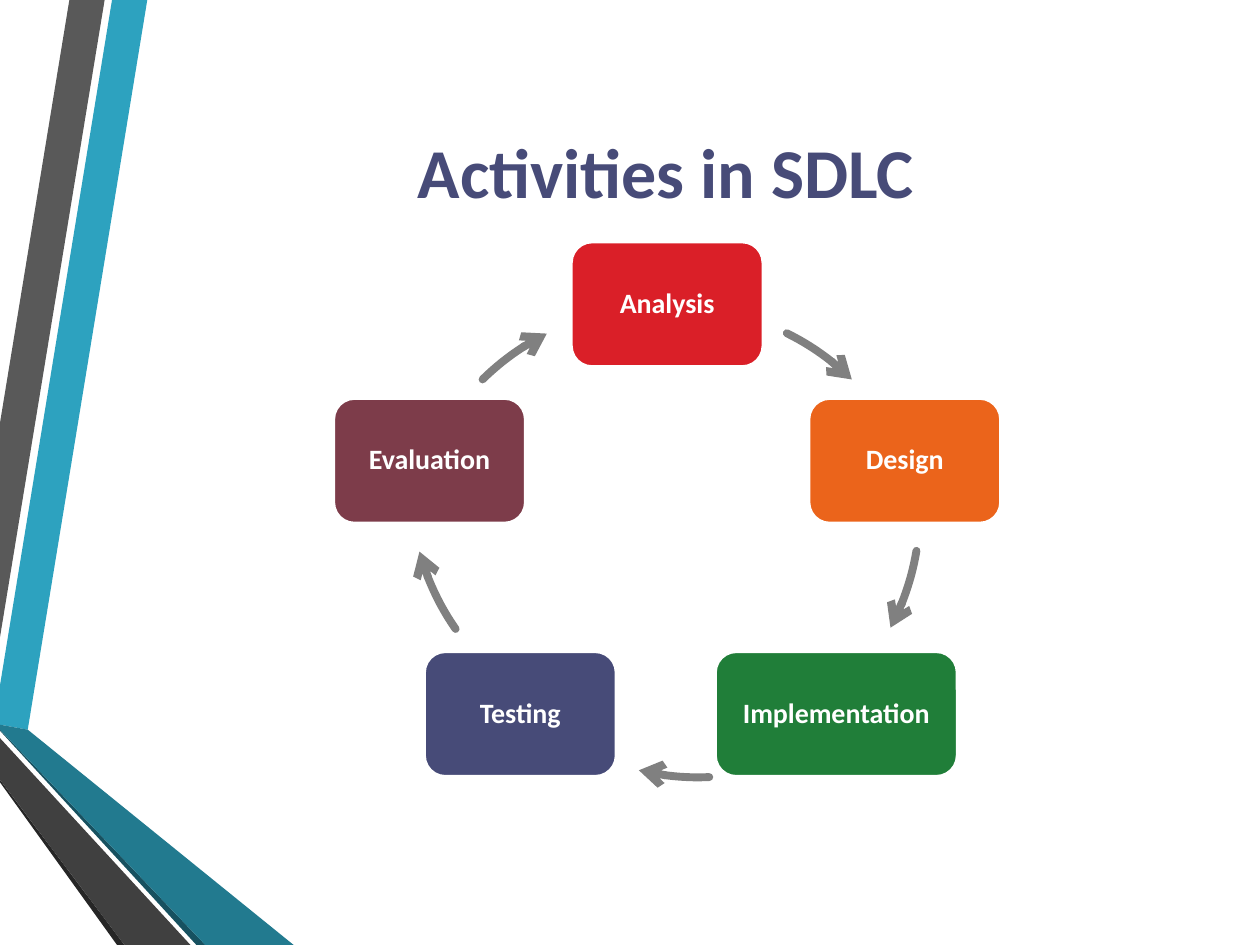
from math import cos, radians, sin

from lxml.etree import SubElement
from pptx import Presentation
from pptx.dml.color import RGBColor
from pptx.enum.shapes import MSO_SHAPE
from pptx.enum.text import MSO_ANCHOR, PP_ALIGN
from pptx.oxml.ns import qn
from pptx.util import Cm, Pt

COLORS = {
    "white": "FFFFFF", "red": "DA1F28", "orange": "EB641B", "green": "207E39",
    "indigo": "474B78", "plum": "7D3C4A", "arrow": "808080",
    "cyan": "2DA2BF", "teal": "227A8F", "deep_teal": "175160",
    "gray": "595959", "dark_gray": "404040", "charcoal": "262626",
}
FONT = "Calibri"

# Corner points in cm, relative to the decoration's box
RIBBONS = [
    ("cyan", [(0, 13.82), (0, 14.61), (0.56, 14.71), (2.97, 0), (2.26, 0)]),
    ("gray", [(2.11, 0), (1.4, 0), (0, 8.53), (0, 12.85)]),
    ("charcoal", [(0, 15.72), (0, 15.77), (2.36, 19.05), (2.51, 19.05)]),
    ("deep_teal", [(0, 14.71), (0, 14.73), (3.96, 19.05), (4.14, 19.05)]),
    ("teal", [(0, 14.71), (4.14, 19.05), (5.92, 19.05), (0.56, 14.71), (0, 14.61)]),
    ("dark_gray", [(0, 15.72), (2.51, 19.05), (3.84, 19.05), (0, 14.88)]),
]

# Label, colour, extra width in cm, sideways shift in cm; clockwise from the top
ACTIVITIES = [
    ("Analysis", "red", 0, 0),
    ("Design", "orange", 0, 0),
    ("Implementation", "green", 1.01, 0.45),
    ("Testing", "indigo", 0, 0),
    ("Evaluation", "plum", 0, 0),
]
NODE_WIDTH, NODE_HEIGHT = 3.86, 2.51

# Arc centre relative to the ring centre in cm, then start and end angle
ARROWS = [
    (0.19, 0.53, -63.8, -45.4),
    (0.06, -0.41, 9.3, 28),
    (0.62, -0.06, 87.4, 103.7),
    (-0.14, -0.9, 145.1, 164.8),
    (-0.19, 0.53, 225.4, 243.6),
]
ARC_RADIUS = 5.03
ARC_STEPS = 12


def color(name):
    return RGBColor.from_string(COLORS[name])


def apply_format(target, values):
    for name, value in values.items():
        setattr(target, name, value)


def write_text(shape, text, size, color_name, inset):
    frame = shape.text_frame
    apply_format(frame, {
        "word_wrap": True, "vertical_anchor": MSO_ANCHOR.MIDDLE,
        "margin_left": inset, "margin_right": inset,
        "margin_top": inset, "margin_bottom": inset,
    })
    paragraph = frame.paragraphs[0]
    apply_format(paragraph, {"alignment": PP_ALIGN.CENTER, "line_spacing": 0.9})
    run = paragraph.add_run()
    run.text = text
    apply_format(run.font, {"name": FONT, "size": Pt(size), "bold": True})
    run.font.color.rgb = color(color_name)


def add_outline(slide, points, close):
    """Draw a freeform through points given in cm."""
    corners = [(Cm(x), Cm(y)) for x, y in points]
    builder = slide.shapes.build_freeform(*corners[0])
    builder.add_line_segments(corners[1:], close=close)
    shape = builder.convert_to_shape()
    shape.shadow.inherit = False
    return shape


def add_ribbons(slide, left, top):
    for color_name, corners in RIBBONS:
        points = [(left + x, top + y) for x, y in corners]
        ribbon = add_outline(slide, points, close=True)
        ribbon.fill.solid()
        ribbon.fill.fore_color.rgb = color(color_name)
        ribbon.line.fill.background()


def add_title(slide, left, top, width, height):
    box = slide.shapes.add_textbox(Cm(left), Cm(top), Cm(width), Cm(height))
    write_text(box, "Activities in SDLC", 40, "indigo", Cm(0.13))
    box.text_frame.paragraphs[0].line_spacing = 1.0


def add_node(slide, center_x, center_y, width, label, color_name):
    node = slide.shapes.add_shape(
        MSO_SHAPE.ROUNDED_RECTANGLE,
        Cm(center_x - width / 2), Cm(center_y - NODE_HEIGHT / 2),
        Cm(width), Cm(NODE_HEIGHT))
    node.shadow.inherit = False
    node.fill.solid()
    node.fill.fore_color.rgb = color(color_name)
    node.line.color.rgb = color("white")
    node.line.width = Pt(1.5)
    write_text(node, label, 16, "white", Cm(0.3))


def add_arc_arrow(slide, center_x, center_y, start, end):
    angles = [radians(start + (end - start) * step / ARC_STEPS)
              for step in range(ARC_STEPS + 1)]
    points = [(center_x + ARC_RADIUS * cos(angle), center_y + ARC_RADIUS * sin(angle))
              for angle in angles]
    arrow = add_outline(slide, points, close=False)
    arrow.fill.background()
    arrow.line.color.rgb = color("arrow")
    arrow.line.width = Pt(4.5)
    line = arrow.line._get_or_add_ln()
    line.set("cap", "rnd")
    SubElement(line, qn("a:round"))
    SubElement(line, qn("a:tailEnd"), type="arrow")


def add_cycle(slide, left, top, width, height):
    """Spread the activities over an ellipse that fills the box."""
    radius_x = (width - NODE_WIDTH) / 2 / cos(radians(18))
    radius_y = (height - NODE_HEIGHT) / (1 + cos(radians(36)))
    center_x = left + width / 2
    center_y = top + NODE_HEIGHT / 2 + radius_y
    for index, (label, color_name, extra, shift) in enumerate(ACTIVITIES):
        angle = radians(360 / len(ACTIVITIES) * index - 90)
        add_node(slide, center_x + radius_x * cos(angle) + shift,
                 center_y + radius_y * sin(angle),
                 NODE_WIDTH + extra, label, color_name)
    for offset_x, offset_y, start, end in ARROWS:
        add_arc_arrow(slide, center_x + offset_x, center_y + offset_y, start, end)


def main():
    presentation = Presentation()
    presentation.slide_width = Cm(25.4)
    presentation.slide_height = Cm(19.05)
    slide = presentation.slides.add_slide(presentation.slide_layouts[6])
    add_ribbons(slide, 0, 0)
    add_title(slide, 2.72, 1.27, 21.41, 4.34)
    add_cycle(slide, 6.73, 4.88, 13.44, 10.77)
    presentation.save("out.pptx")


if __name__ == "__main__":
    main()
